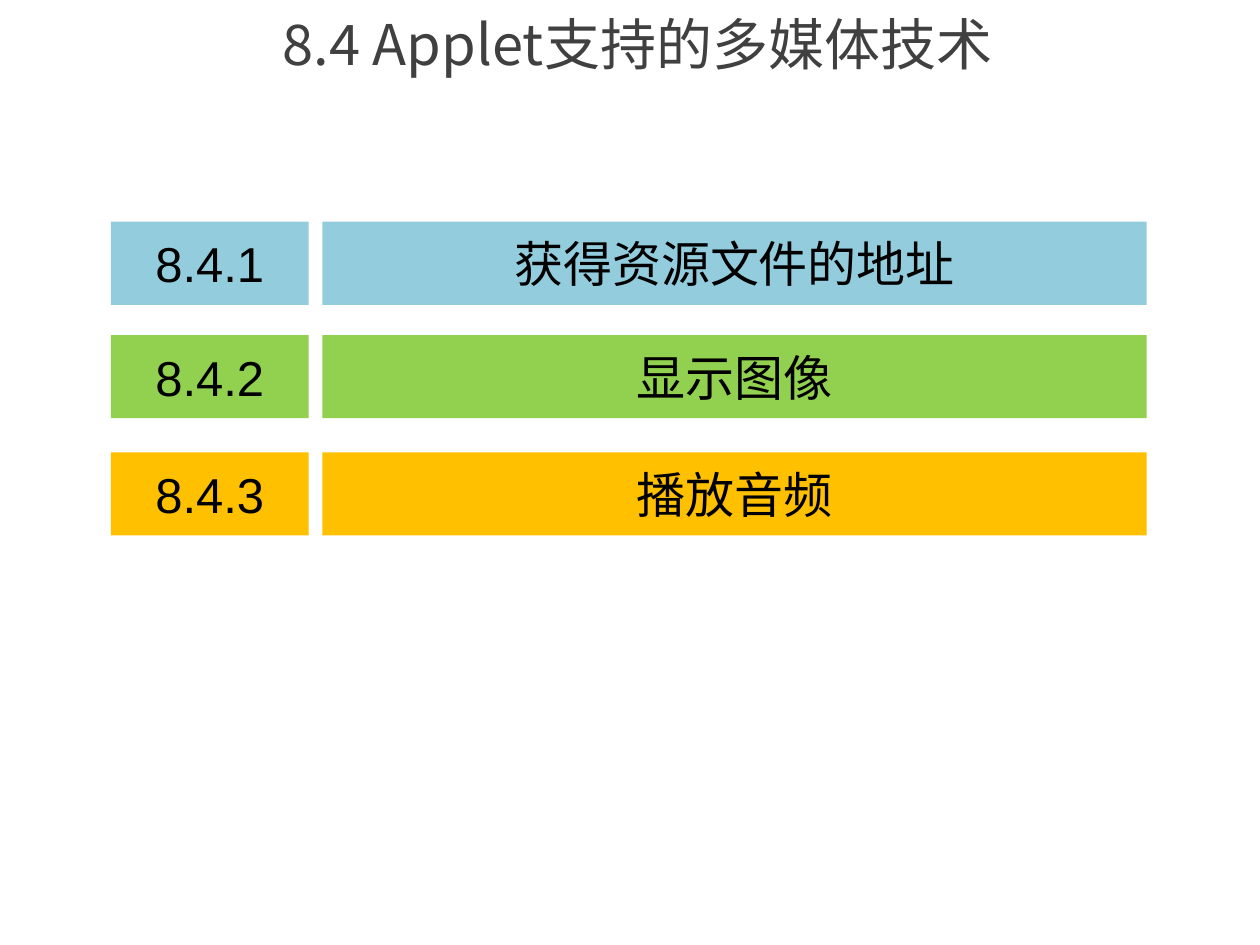
from dataclasses import dataclass

from lxml import etree
from pptx import Presentation
from pptx import util as u
from pptx.dml.color import RGBColor
from pptx.enum import shapes, text
from pptx.oxml import parse_xml
from pptx.oxml.ns import nsdecls, qn

WIDTH, HEIGHT = 10, 7.5
CJK_FONT, NUMBER_FONT = "Noto Sans CJK SC", "Arial"

# Grid of the section list, in inches
NUMBER_LEFT, NUMBER_WIDTH = 0.88, 1.57
TOPIC_LEFT, TOPIC_WIDTH = 2.56, 6.54
ROW_HEIGHT = 0.66


@dataclass(frozen=True)
class Section:
    number: str
    topic: str
    fill: str
    top: float


SECTIONS = [
    Section("8.4.1", "获得资源文件的地址", "93CDDD", 1.76),
    Section("8.4.2", "显示图像", "92D050", 2.66),
    Section("8.4.3", "播放音频", "FFC000", 3.59),
]


def color(value: str) -> RGBColor:
    return RGBColor.from_string(value)


def write(shape, content: str, size: float, font_name: str, ink: str):
    """Put one centred line in the shape and return its run."""
    frame = shape.text_frame
    frame.text = content
    frame.word_wrap = True
    frame.vertical_anchor = text.MSO_ANCHOR.MIDDLE
    paragraph = frame.paragraphs[0]
    paragraph.alignment = text.PP_ALIGN.CENTER
    run = paragraph.runs[0]
    run.font.size = u.Pt(size)
    run.font.name = font_name
    run.font.color.rgb = color(ink)
    east_asian = etree.SubElement(run.font._element, qn("a:ea"))
    east_asian.set("typeface", font_name)
    return run


def add_text_shadow(run) -> None:
    effect = parse_xml(
        f'<a:effectLst {nsdecls("a")}>'
        '<a:outerShdw blurRad="38100" dist="38100" dir="2700000" algn="tl">'
        '<a:srgbClr val="000000"><a:alpha val="43000"/></a:srgbClr>'
        '</a:outerShdw></a:effectLst>'
    )
    run.font._element.find(qn("a:solidFill")).addnext(effect)


def add_title(slide, content: str) -> None:
    title = slide.shapes.add_textbox(
        u.Inches(0.72), 0, u.Inches(8.68), u.Inches(0.68))
    add_text_shadow(write(title, content, 32, CJK_FONT, "404040"))


def add_bar(group, left: float, width: float, section: Section,
            content: str, font_name: str) -> None:
    bar = group.shapes.add_shape(
        shapes.MSO_SHAPE.RECTANGLE, u.Inches(left), u.Inches(section.top),
        u.Inches(width), u.Inches(ROW_HEIGHT))
    bar.shadow.inherit = False
    bar.fill.solid()
    bar.fill.fore_color.rgb = color(section.fill)
    bar.line.fill.background()
    write(bar, content, 28, font_name, "000000")


def add_section(slide, section: Section) -> None:
    group = slide.shapes.add_group_shape()
    add_bar(group, TOPIC_LEFT, TOPIC_WIDTH, section, section.topic, CJK_FONT)
    add_bar(group, NUMBER_LEFT, NUMBER_WIDTH, section, section.number, NUMBER_FONT)


def main() -> None:
    presentation = Presentation()
    presentation.slide_width = u.Inches(WIDTH)
    presentation.slide_height = u.Inches(HEIGHT)
    slide = presentation.slides.add_slide(presentation.slide_layouts[6])
    slide.background.fill.solid()
    slide.background.fill.fore_color.rgb = color("FFFFFF")

    # Heading, then one row for each section
    add_title(slide, "8.4 Applet支持的多媒体技术")
    for section in SECTIONS:
        add_section(slide, section)

    presentation.save("out.pptx")


if __name__ == "__main__":
    main()
